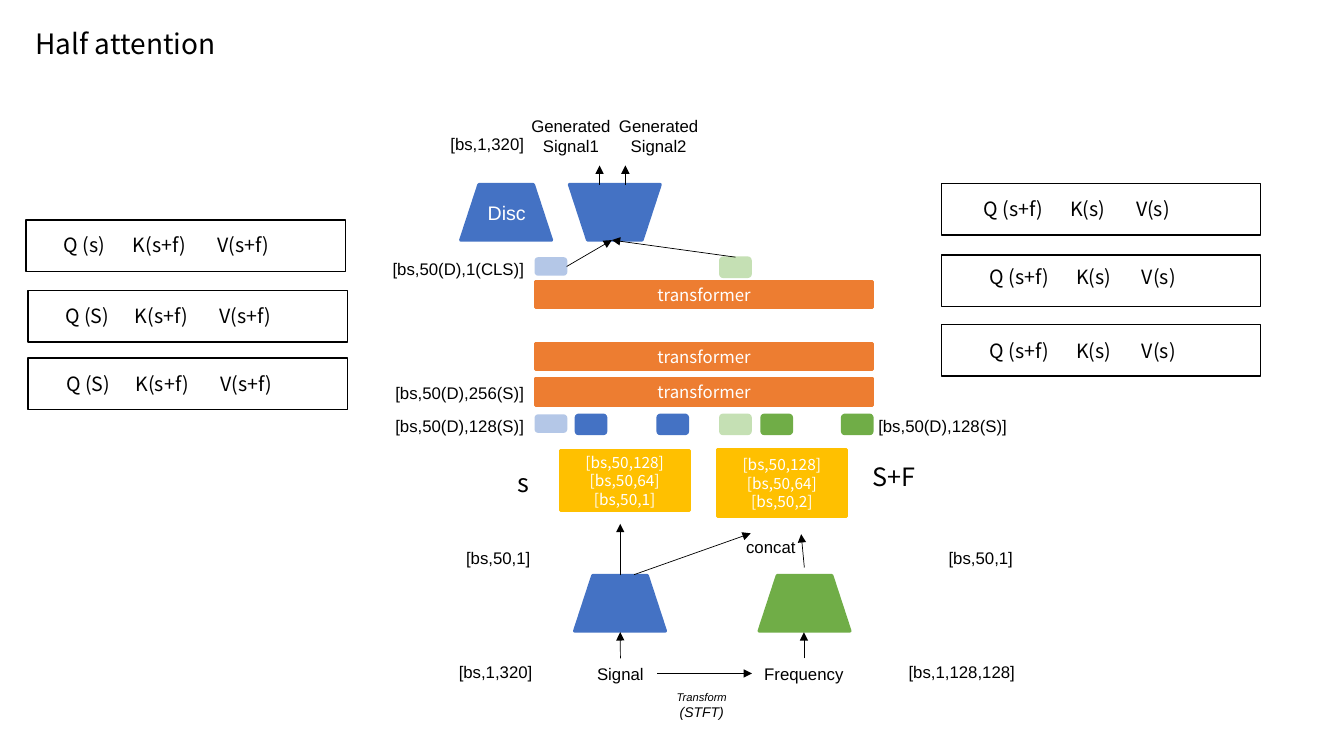
from dataclasses import dataclass

from lxml import etree
from pptx import Presentation
from pptx.dml.color import RGBColor
from pptx.enum.shapes import MSO_CONNECTOR, MSO_SHAPE
from pptx.enum.text import MSO_ANCHOR, MSO_AUTO_SIZE, PP_ALIGN
from pptx.oxml.ns import qn
from pptx.util import Cm, Pt

LEFT, CENTER, RIGHT = PP_ALIGN.LEFT, PP_ALIGN.CENTER, PP_ALIGN.RIGHT
TOP, MIDDLE = MSO_ANCHOR.TOP, MSO_ANCHOR.MIDDLE
GROW, FIXED = MSO_AUTO_SIZE.SHAPE_TO_FIT_TEXT, MSO_AUTO_SIZE.NONE
RECTANGLE, ROUNDED = MSO_SHAPE.RECTANGLE, MSO_SHAPE.ROUNDED_RECTANGLE
TRAPEZOID = MSO_SHAPE.FLOWCHART_MANUAL_OPERATION
STRAIGHT = MSO_CONNECTOR.STRAIGHT
TITLE_ONLY = 5
SIDE_TOP, SIDE_LEFT, SIDE_RIGHT = 0, 1, 3


@dataclass(frozen=True)
class Theme:
    black: str = "000000"
    white: str = "FFFFFF"
    blue: str = "4472C4"
    pale_blue: str = "B4C7E7"
    green: str = "70AD47"
    pale_green: str = "C5E0B4"
    orange: str = "ED7D31"
    yellow: str = "FFC000"
    plain_font: str = "Arial"
    display_font: str = "Noto Sans CJK KR"
    title_size: int = 20
    stream_size: int = 18
    formula_size: int = 14
    label_size: int = 12
    stack_size: int = 11
    note_size: int = 10
    small_size: int = 8
    thick: float = 2.25
    medium: float = 1
    thin: float = 0.5


class Diagram:
    def __init__(self, page, theme):
        self.page = page
        self.theme = theme

    def fill_text(self, box, lines, size, font=None, color=None, align=LEFT,
                  anchor=TOP, auto_size=GROW, italic=False, tabs=()):
        frame = box.text_frame
        layout = {"word_wrap": True, "vertical_anchor": anchor, "auto_size": auto_size}
        for name, value in layout.items():
            setattr(frame, name, value)
        sizes = size if isinstance(size, tuple) else (size,) * len(lines)
        for index, (line, points) in enumerate(zip(lines, sizes)):
            para = frame.add_paragraph() if index else frame.paragraphs[0]
            para.alignment = align
            if tabs:
                stops = etree.SubElement(para._p.get_or_add_pPr(), qn("a:tabLst"))
                for stop in tabs:
                    etree.SubElement(stops, qn("a:tab"), pos=str(Cm(stop)), algn="l")
            span = para.add_run()
            span.text = line
            style = {"name": font or self.theme.plain_font, "size": Pt(points),
                     "italic": italic, "bold": False}
            for name, value in style.items():
                setattr(span.font, name, value)
            span.font.color.rgb = RGBColor.from_string(color or self.theme.black)
        return box

    def title(self, text, left, top, width, height):
        box = self.page.shapes.title
        place = {"left": left, "top": top, "width": width, "height": height}
        for name, value in place.items():
            setattr(box, name, Cm(value))
        self.fill_text(box, [text], self.theme.title_size, self.theme.display_font)

    def label(self, text, left, top, width, height=0.76, size=None, **style):
        box = self.page.shapes.add_textbox(Cm(left), Cm(top), Cm(width), Cm(height))
        return self.fill_text(box, text.split("\n"), size or self.theme.label_size, **style)

    def shape(self, kind, left, top, width, height, color=None, weight=None, rotation=0):
        box = self.page.shapes.add_shape(kind, Cm(left), Cm(top), Cm(width), Cm(height))
        box.shadow.inherit = False
        box.rotation = rotation
        if color:
            box.fill.solid()
            box.fill.fore_color.rgb = RGBColor.from_string(color)
        else:
            box.fill.background()
        box.line.color.rgb = RGBColor.from_string(color or self.theme.black)
        box.line.width = Pt(weight or self.theme.medium)
        return box

    def block(self, lines, left, top, width, height, color, size):
        box = self.shape(RECTANGLE, left, top, width, height, color, self.theme.thick)
        self.fill_text(box, lines, size, self.theme.display_font, self.theme.white,
                       CENTER, MIDDLE, FIXED)

    def trapezoid(self, left, top, color, rotation=180):
        self.shape(TRAPEZOID, left, top, 2.29, 1.4, color, self.theme.thick, rotation)

    def token(self, left, top, color, height=0.51):
        return self.shape(ROUNDED, left, top, 0.79, height, color)

    def formula(self, text, left, top, text_left, text_top, tabs):
        self.shape(RECTANGLE, left, top, 8.05, 1.3)
        self.label(text, text_left, text_top, 9.17, 0.86, self.theme.formula_size,
                   font=self.theme.display_font, tabs=tabs)

    def arrow(self, start, end, source=None, target=None):
        line = self.page.shapes.add_connector(
            STRAIGHT, Cm(start[0]), Cm(start[1]), Cm(end[0]), Cm(end[1]))
        if source:
            line.begin_connect(*source)
        if target:
            line.end_connect(*target)
        line.line.color.rgb = RGBColor.from_string(self.theme.black)
        line.line.width = Pt(self.theme.thin)
        properties = line._element.spPr
        etree.SubElement(properties.find(qn("a:ln")), qn("a:tailEnd"), type="triangle")
        etree.SubElement(properties, qn("a:effectLst"))


def main():
    theme = Theme()
    deck = Presentation()
    deck.slide_width, deck.slide_height = Cm(33.87), Cm(19.05)
    page = deck.slides.add_slide(deck.slide_layouts[TITLE_ONLY])
    diagram = Diagram(page, theme)
    diagram.title("Half attention", 0.64, 0.53, 12.17, 1.12)

    diagram.trapezoid(14.48, 14.5, theme.blue)
    diagram.trapezoid(19.13, 14.5, theme.green)
    diagram.trapezoid(14.35, 4.65, theme.blue, rotation=0)
    diagram.trapezoid(11.61, 4.65, theme.blue)
    diagram.label("Disc", 12.04, 4.93, 2.08, 0.86, theme.formula_size, color=theme.white)

    for top in (9.55, 8.66, 7.09):
        diagram.block(["transformer"], 13.49, top, 8.51, 0.66, theme.orange, theme.label_size)
    for left, top, height, channels in ((14.12, 11.35, 1.52, 1), (18.08, 11.33, 1.68, 2)):
        lines = [f"[bs,50,{depth}]" for depth in (128, 64, channels)]
        diagram.block(lines, left, top, 3.25, height, theme.yellow, theme.stack_size)

    diagram.token(13.49, 10.46, theme.pale_blue, 0.43)
    for left, color in ((14.5, theme.blue), (16.56, theme.blue), (18.14, theme.pale_green),
                        (19.18, theme.green), (21.21, theme.green)):
        diagram.token(left, 10.44, color)
    signal_class = diagram.token(13.49, 6.5, theme.pale_blue, 0.43)
    frequency_class = diagram.token(18.14, 6.48, theme.pale_green)

    signal = diagram.label("Signal", 14.71, 16.59, 1.85, align=CENTER)
    frequency = diagram.label("Frequency", 18.95, 16.59, 2.62, align=CENTER)
    diagram.label("Transform\n(STFT)", 16.76, 17.27, 1.85, 1.02,
                  (theme.small_size, theme.note_size), align=CENTER, italic=True)
    for number, left in ((1, 13.08), (2, 15.29)):
        diagram.label(f"Generated\nSignal{number}", left, 2.79, 2.62, 1.27, align=CENTER)

    for text, left, top, width in (
        ("[bs,1,320]", 11.18, 16.54, 2.49),
        ("[bs,50,1]", 11.13, 13.69, 2.49),
        ("[bs,50(D),128(S)]", 9.6, 10.36, 3.86),
        ("[bs,50(D),256(S)]", 9.6, 9.53, 3.86),
        ("[bs,50(D),1(CLS)]", 9.6, 6.4, 3.86),
        ("[bs,1,320]", 9.6, 3.25, 3.86),
        ("[bs,1,128,128]", 22.58, 16.54, 3.25),
        ("[bs,50,1]", 23.29, 13.69, 2.49),
        ("[bs,50(D),128(S)]", 21.77, 10.36, 3.86),
        ("concat", 17.81, 13.39, 2.49),
    ):
        diagram.label(text, left, top, width, align=RIGHT)
    for text, left, top, width in (("s", 12.8, 11.66, 1.3), ("S+F", 21.74, 11.51, 2.13)):
        diagram.label(text, left, top, width, 1.02, theme.stream_size, font=theme.display_font)

    decoder_base = (15.42, 6.05)
    for start, end, source, target in (
        ((16.56, 16.97), (18.95, 16.97), (signal, SIDE_RIGHT), (frequency, SIDE_LEFT)),
        ((15.63, 16.59), (15.63, 15.93), (signal, SIDE_TOP), None),
        ((20.26, 16.59), (20.26, 15.93), (frequency, SIDE_TOP), None),
        ((14.28, 6.72), decoder_base, (signal_class, SIDE_RIGHT), None),
        ((18.53, 6.48), decoder_base, (frequency_class, SIDE_TOP), None),
        ((15.11, 4.65), (15.11, 4.17), None, None),
        ((15.76, 4.65), (15.76, 4.17), None, None),
        ((15.63, 14.5), (15.63, 13.2), None, None),
        ((15.98, 14.48), (18.92, 13.44), None, None),
        ((20.27, 14.3), (20.19, 13.46), None, None),
    ):
        diagram.arrow(start, end, source, target)

    for query, left, top, text_left, text_top in (
        ("s", 0.66, 5.54, 1.35, 5.74),
        ("S", 0.71, 7.32, 1.4, 7.54),
        ("S", 0.71, 9.02, 1.42, 9.25),
    ):
        diagram.formula(f"Q ({query})\tK(s+f)\tV(s+f)", left, top, text_left, text_top,
                        (1.75, 3.88))
    for top, text_left, text_top in ((4.62, 24.54, 4.83), (6.43, 24.69, 6.55), (8.18, 24.69, 8.41)):
        diagram.formula("Q (s+f)\tK(s)\tV(s)", 23.72, top, text_left, text_top, (2.18, 3.84))

    deck.save("out.pptx")


if __name__ == "__main__":
    main()
